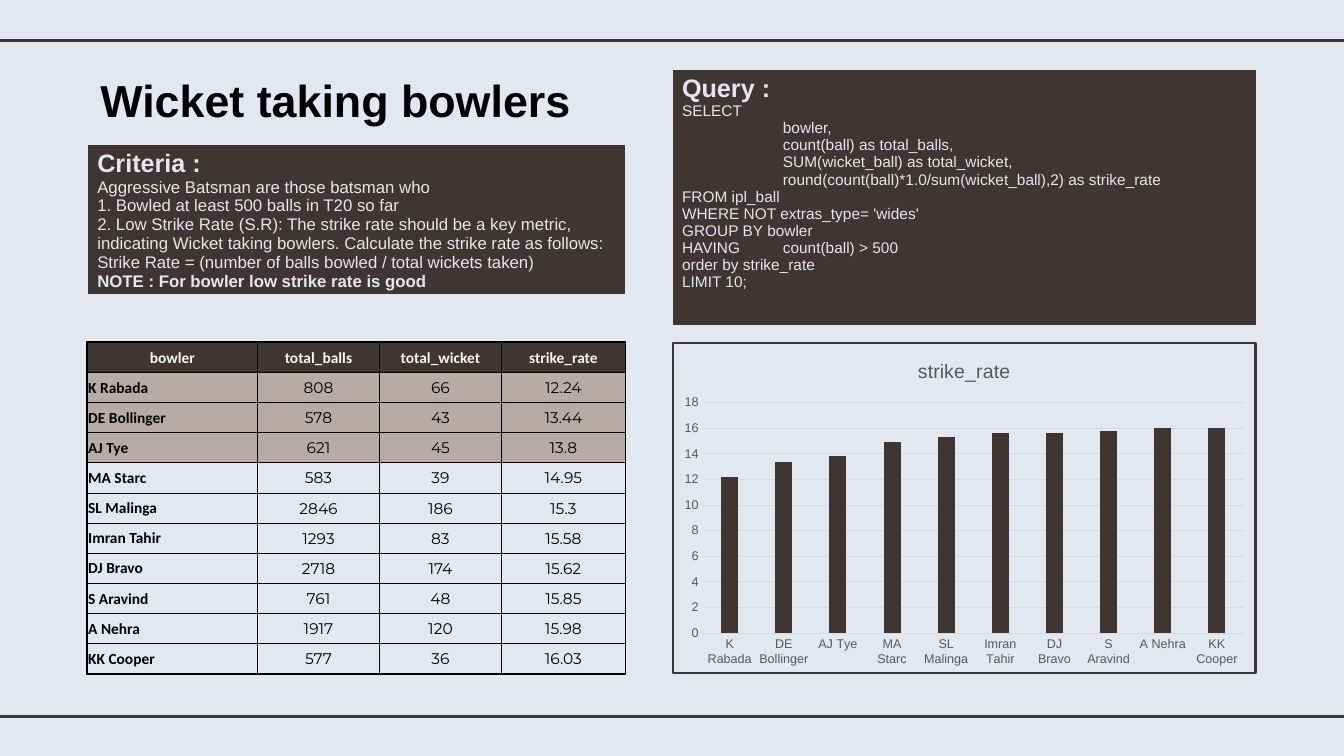
from dataclasses import dataclass
from typing import Any, NamedTuple

from pptx import Presentation
from pptx.chart.data import CategoryChartData
from pptx.dml.color import RGBColor
from pptx.enum.chart import XL_CHART_TYPE as ChartType, XL_TICK_MARK as TickMark
from pptx.enum.shapes import MSO_CONNECTOR as Connector
from pptx.enum.text import MSO_ANCHOR as Anchor, MSO_AUTO_SIZE as AutoSize, PP_ALIGN as Align
from pptx.oxml import parse_xml
from pptx.oxml.ns import nsdecls
from pptx.slide import Slide
from pptx.table import Table, _Cell as Cell
from pptx.util import Pt

PAPER = RGBColor(0xE3, 0xE7, 0xF0)
UMBER = RGBColor(0x3F, 0x35, 0x33)
ROSE = RGBColor(0xB8, 0xAA, 0xA7)
BLACK = RGBColor(0x00, 0x00, 0x00)
OFF_WHITE = RGBColor(0xF8, 0xF8, 0xF8)
GREY = RGBColor(0x59, 0x59, 0x59)
GRID = RGBColor(0xD9, 0xD9, 0xD9)

SLIDE_W, SLIDE_H = 960, 540
LEFT, LEFT_W = 62.3, 384.5
RIGHT, RIGHT_W = 480, 417.6
LOWER_TOP, LOWER_H = 244.5, 236.9
COLUMN_WIDTHS = (121.7, 87.1, 87.1, 88.6)
HIGHLIGHTED = 3


class Bowler(NamedTuple):
    bowler: str
    total_balls: int
    total_wicket: int
    strike_rate: float


@dataclass
class Panel:
    left: float
    top: float
    width: float
    height: float
    heading: str
    lines: list[str]
    size: float
    bold_last: bool = False


BOWLERS = [
    Bowler("K Rabada", 808, 66, 12.24),
    Bowler("DE Bollinger", 578, 43, 13.44),
    Bowler("AJ Tye", 621, 45, 13.8),
    Bowler("MA Starc", 583, 39, 14.95),
    Bowler("SL Malinga", 2846, 186, 15.3),
    Bowler("Imran Tahir", 1293, 83, 15.58),
    Bowler("DJ Bravo", 2718, 174, 15.62),
    Bowler("S Aravind", 761, 48, 15.85),
    Bowler("A Nehra", 1917, 120, 15.98),
    Bowler("KK Cooper", 577, 36, 16.03),
]

PANELS = [
    Panel(LEFT, 103.2, LEFT_W, 106.6, "Criteria :", [
        "Aggressive Batsman are those batsman who",
        "1. Bowled at least 500 balls in T20 so far",
        "2. Low Strike Rate (S.R): The strike rate should be a key metric, "
        "indicating Wicket taking bowlers. Calculate the strike rate as follows:",
        "Strike Rate = (number of balls bowled / total wickets taken)",
        "NOTE : For bowler low strike rate is good",
    ], 12, bold_last=True),
    Panel(RIGHT, 49.5, RIGHT_W, 184.3, "Query :", [
        "SELECT",
        "\tbowler,",
        "\tcount(ball) as total_balls,",
        "\tSUM(wicket_ball) as total_wicket,",
        "\tround(count(ball)*1.0/sum(wicket_ball),2) as strike_rate",
        "FROM ipl_ball",
        "WHERE NOT extras_type= 'wides'",
        "GROUP BY bowler",
        "HAVING\tcount(ball) > 500",
        "order by strike_rate",
        "LIMIT 10;",
    ], 11),
]


def style_font(font: Any, color: RGBColor, **values: Any) -> None:
    for name, value in values.items():
        setattr(font, name, value)
    font.color.rgb = color


def set_borders(cell: Cell, color: RGBColor, widths: dict[str, float]) -> None:
    """Draw cell edges; must run before the cell gets its fill."""
    for side in "LRTB":
        cell._tc.get_or_add_tcPr().append(parse_xml(
            f'<a:ln{side} {nsdecls("a")} w="{Pt(widths[side])}"><a:solidFill>'
            f'<a:srgbClr val="{color}"/></a:solidFill></a:ln{side}>'))


def add_plain_table(slide: Slide, rows: int, widths: tuple[float, ...],
                    left: float, top: float, height: float) -> Table:
    table = slide.shapes.add_table(rows, len(widths), Pt(left), Pt(top),
                                   Pt(sum(widths)), Pt(height)).table
    table.first_row = table.horz_banding = False
    for column, width in zip(table.columns, widths):
        column.width = Pt(width)
    for row in table.rows:
        row.height = Pt(height / rows)
    return table


def add_panel(slide: Slide, panel: Panel) -> None:
    cell = add_plain_table(slide, 1, (panel.width,), panel.left, panel.top, panel.height).cell(0, 0)
    set_borders(cell, PAPER, {"L": 1, "R": 1, "T": 1, "B": 3})
    cell.fill.solid()
    cell.fill.fore_color.rgb = UMBER
    frame = cell.text_frame
    last = len(panel.lines)
    for index, line in enumerate([panel.heading, *panel.lines]):
        paragraph = frame.add_paragraph() if index else frame.paragraphs[0]
        if "\t" in line:
            paragraph._p.get_or_add_pPr().append(parse_xml(
                f'<a:tabLst {nsdecls("a")}><a:tab pos="{Pt(72)}" algn="l"/></a:tabLst>'))
        run = paragraph.add_run()
        run.text = line
        style_font(run.font, PAPER, name="Arial", size=Pt(panel.size if index else 18),
                   bold=index == 0 or (panel.bold_last and index == last))


def add_bowler_table(slide: Slide) -> None:
    rows = [Bowler._fields, *BOWLERS]
    last_row, last_column = len(rows) - 1, len(COLUMN_WIDTHS) - 1
    table = add_plain_table(slide, len(rows), COLUMN_WIDTHS, LEFT, LOWER_TOP, LOWER_H)
    for r, record in enumerate(rows):
        for c, value in enumerate(record):
            cell = table.cell(r, c)
            outer = {"L": c == 0, "R": c == last_column, "T": r == 0, "B": r == last_row}
            set_borders(cell, BLACK, {side: 1.5 if edge else 0.5 for side, edge in outer.items()})
            if r <= HIGHLIGHTED:
                cell.fill.solid()
                cell.fill.fore_color.rgb = ROSE if r else UMBER
            else:
                cell.fill.background()
            cell.vertical_anchor = Anchor.MIDDLE
            cell.margin_left = cell.margin_right = cell.margin_top = Pt(0.7)
            cell.margin_bottom = 0
            paragraph = cell.text_frame.paragraphs[0]
            label = r == 0 or c == 0
            paragraph.alignment = Align.LEFT if r and c == 0 else Align.CENTER
            run = paragraph.add_run()
            run.text = str(value)
            style_font(run.font, BLACK if r else OFF_WHITE, size=Pt(11), bold=label,
                       name="Calibri" if label else "Montserrat")


def add_strike_rate_chart(slide: Slide) -> None:
    data = CategoryChartData()
    data.categories = [b.bowler for b in BOWLERS]
    data.add_series("strike_rate", [round(b.strike_rate, 1) for b in BOWLERS])
    chart = slide.shapes.add_chart(ChartType.COLUMN_CLUSTERED, Pt(RIGHT), Pt(LOWER_TOP),
                                   Pt(RIGHT_W), Pt(LOWER_H), data).chart
    chart._chartSpace.chart.addnext(parse_xml(
        f'<c:spPr {nsdecls("c", "a")}><a:noFill/><a:ln w="{Pt(1.5)}"><a:solidFill>'
        f'<a:srgbClr val="{UMBER}"/></a:solidFill></a:ln></c:spPr>'))
    style_font(chart.font, BLACK, name="Arial", size=Pt(10))
    chart.has_legend = False
    chart.has_title = True
    heading = chart.chart_title.text_frame.paragraphs[0].add_run()
    heading.text = "strike_rate"
    style_font(heading.font, GREY, name="Arial", size=Pt(14), bold=False)

    plot = chart.plots[0]
    for name, value in {"gap_width": 219, "overlap": -27, "vary_by_categories": False}.items():
        setattr(plot, name, value)
    columns = plot.series[0].format.fill
    columns.solid()
    columns.fore_color.rgb = UMBER

    names, rates = chart.category_axis, chart.value_axis
    for axis in (names, rates):
        axis.major_tick_mark = axis.minor_tick_mark = TickMark.NONE
        style_font(axis.tick_labels.font, GREY, name="Arial", size=Pt(9))
    rates.minimum_scale, rates.maximum_scale, rates.major_unit = 0, 18, 2
    rates.format.line.fill.background()
    for line in (names.format.line, rates.major_gridlines.format.line):
        line.color.rgb = GRID
        line.width = Pt(0.75)


def add_rule(slide: Slide, y: float) -> None:
    rule = slide.shapes.add_connector(Connector.STRAIGHT, 0, Pt(y), Pt(SLIDE_W), Pt(y))
    rule.line.color.rgb = UMBER
    rule.line.width = Pt(2.25)
    rule._element.spPr.append(parse_xml(f'<a:effectLst {nsdecls("a")}/>'))


def add_title(slide: Slide, text: str) -> None:
    title = slide.shapes.title
    title.left, title.top, title.width, title.height = Pt(LEFT), Pt(40.6), Pt(844.6), Pt(60.5)
    frame = title.text_frame
    for side in ("left", "top", "right", "bottom"):
        setattr(frame, f"margin_{side}", Pt(9.4))
    frame.auto_size = AutoSize.NONE
    frame.vertical_anchor = Anchor.MIDDLE
    frame.paragraphs[0].alignment = Align.LEFT
    run = frame.paragraphs[0].add_run()
    run.text = text
    style_font(run.font, BLACK, name="Arial", size=Pt(32), bold=True)


def main() -> None:
    deck = Presentation()
    deck.slide_width, deck.slide_height = Pt(SLIDE_W), Pt(SLIDE_H)
    slide = deck.slides.add_slide(deck.slide_layouts[5])
    slide.background.fill.solid()
    slide.background.fill.fore_color.rgb = PAPER
    for y in (28.8, 511.9):
        add_rule(slide, y)
    add_title(slide, "Wicket taking bowlers")
    add_bowler_table(slide)
    for panel in PANELS:
        add_panel(slide, panel)
    add_strike_rate_chart(slide)
    deck.save("out.pptx")


if __name__ == "__main__":
    main()
